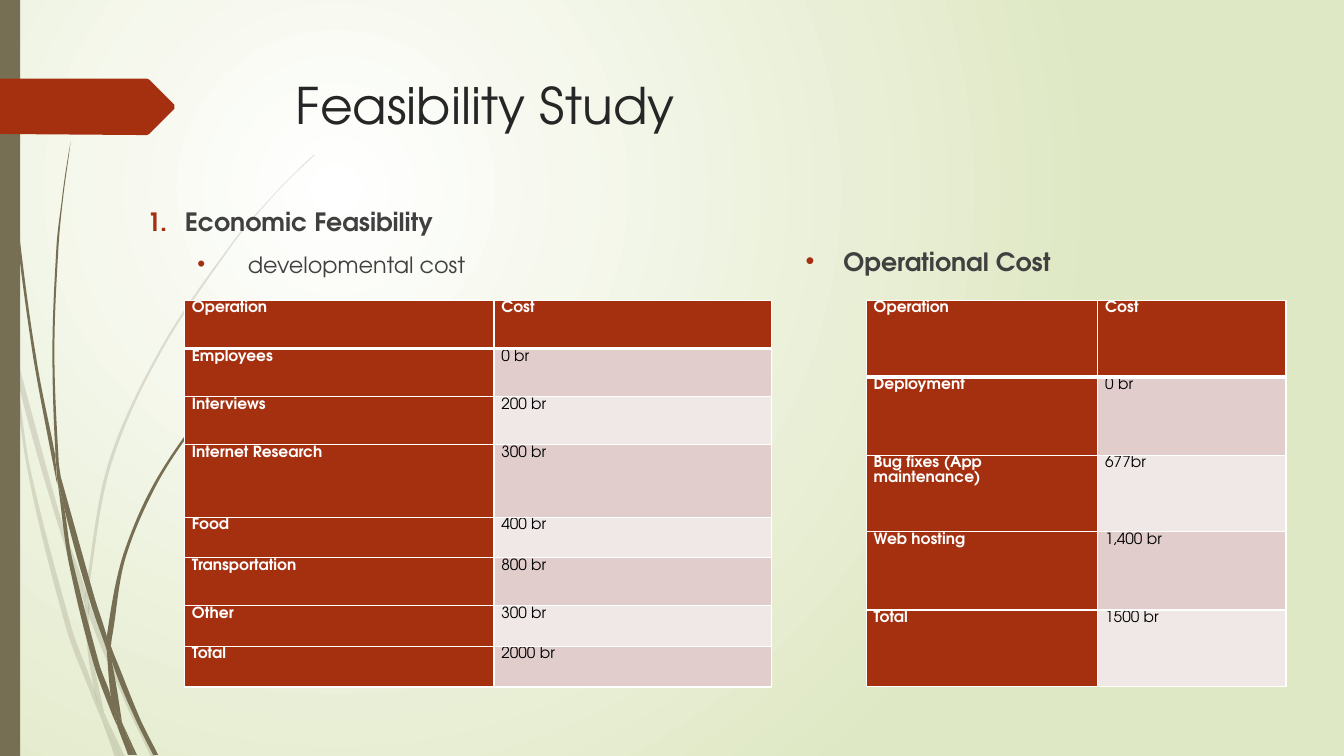
import pptx
import pptx.dml.color
import pptx.enum.shapes
import pptx.enum.text
import pptx.oxml
import pptx.oxml.ns
import pptx.util

Pt = pptx.util.Pt
RGBColor = pptx.dml.color.RGBColor
qn = pptx.oxml.ns.qn
NAMESPACE = pptx.oxml.ns.nsdecls("a")

FONT = "TeX Gyre Adventor"
WHITE = RGBColor(0xFF, 0xFF, 0xFF)
BLACK = RGBColor(0, 0, 0)
PALE_GREEN = RGBColor(0xDF, 0xE8, 0xC4)
OLIVE = RGBColor(0x76, 0x6F, 0x54)
RUST = RGBColor(0xA5, 0x30, 0x10)
TITLE_GREY = RGBColor(0x26, 0x26, 0x26)
TEXT_GREY = RGBColor(0x40, 0x40, 0x40)
ROW_TINTS = (RGBColor(0xF0, 0xE8, 0xE7), RGBColor(0xE1, 0xCD, 0xCC))
OUTLINE_UNIT = Pt(0.72)
NUMBER = '<a:buAutoNum %s type="arabicPeriod"/>'
BULLET = '<a:buChar %s char="•"/>'

PALE_WISPS = (
    (11, 350, 9, 322, 0, 282, 0, 299, 10, 344),
    (58, 522, 84, 599, 85, 586, 62, 520, 14, 345, 17, 376),
    (92, 607, 88, 596, 88, 610, 123, 694, 150, 751, 155, 751, 127, 692),
    (119, 751, 124, 751, 105, 711),
    (93, 683, 70, 619, 31, 469, 17, 376, 11, 350, 28, 470, 65, 621, 92, 693,
     101, 714, 99, 707),
    (84, 599, 87, 646, 93, 683, 96, 692, 105, 711, 103, 706, 91, 646, 88, 610, 88, 608),
    (88, 584, 110, 462, 160, 349, 229, 245, 268, 198, 290, 175, 312, 154, 312, 153,
     289, 175, 268, 197, 228, 244, 158, 348, 107, 461, 85, 584, 85, 586, 88, 596),
    (101, 714, 114, 751, 119, 751),
    (88, 608, 88, 610, 88, 596, 85, 586, 84, 599),
    (96, 692, 93, 683, 99, 707, 101, 714, 119, 751, 105, 711),
)
DARK_WISPS = (
    (7, 110, 17, 233, 33, 355, 56, 477, 57, 481, 55, 457, 55, 453, 36, 355, 19, 232,
     8, 109, 5, 48, 4, 0, 3, 0, 4, 48),
    (88, 592, 106, 645, 106, 633, 106, 631, 93, 590, 60, 472, 64, 505),
    (113, 649, 110, 641, 111, 656, 132, 708, 152, 749, 157, 749, 136, 706),
    (110, 691, 98, 657, 72, 556, 64, 505, 57, 477, 68, 557, 93, 659, 111, 708,
     117, 722, 116, 717),
    (60, 472, 58, 453, 54, 349, 58, 245, 63, 193, 70, 141, 62, 193, 56, 245, 52, 349,
     55, 449),
    (133, 749, 136, 749, 122, 719),
    (57, 477, 64, 505, 60, 472, 55, 449, 55, 453),
    (111, 633, 125, 552, 158, 476, 205, 406, 231, 374, 245, 359, 261, 344, 260, 344,
     245, 358, 231, 373, 204, 405, 156, 474, 122, 551, 106, 631, 110, 641),
    (117, 722, 127, 749, 131, 749),
    (106, 645, 110, 691, 116, 706, 122, 719, 121, 716, 111, 656, 109, 651),
    (106, 645, 109, 651, 111, 656, 110, 641, 106, 631, 106, 633),
    (116, 706, 110, 691, 116, 717, 117, 722, 130, 749, 133, 749, 122, 719),
)
TAG_OUTLINE = (0, 78, 136, 78, 146, 78, 148, 79, 173, 104, 173, 108, 148, 133,
               146, 134, 136, 134, 0, 133)

DEVELOPMENT_ROWS = (
    ("Operation", "Cost"), ("Employees", "0 br"), ("Interviews", "200 br"),
    ("Internet Research", "300 br"), ("Food", "400 br"), ("Transportation", "800 br"),
    ("Other", "300 br"), ("Total", "2000 br"))
OPERATION_ROWS = (
    ("Operation", "Cost"), ("Deployment", "0 br"), ("Bug fixes (App maintenance) ", "677br"),
    ("Web hosting", "1,400 br"), ("Total", "1500 br"))


def apply(target, values):
    for name, value in values.items():
        setattr(target, name, value)


def style_run(run, size, color, bold=False):
    apply(run.font, {"name": FONT, "size": Pt(size), "bold": bold})
    run.font.color.rgb = color


def paint(shape, color):
    shape.shadow.inherit = False
    shape.fill.solid()
    shape.fill.fore_color.rgb = color
    shape.line.fill.background()


def bend_edges(shape):
    edges = list(shape.element.iter(qn("a:lnTo")))
    ends = [complex(int(edge[0].get("x")), int(edge[0].get("y"))) for edge in edges]

    def tangent(index):
        before = ends[index] - ends[index - 1]
        after = ends[(index + 1) % len(ends)] - ends[index]
        turn = (before.conjugate() * after).real / abs(before) / abs(after)
        return (before + after) / abs(before + after) if turn > 0.8 else 0

    for index, edge in enumerate(edges):
        start, end = ends[index - 1], ends[index]
        chord = end - start
        leaving = tangent(index - 1) * abs(chord) or chord
        arriving = tangent(index) * abs(chord) or chord
        points = "".join(f'<a:pt x="{round(point.real)}" y="{round(point.imag)}"/>'
                         for point in (start + leaving / 3, end - arriving / 3, end))
        edge.getparent().replace(edge, pptx.oxml.parse_xml(
            f"<a:cubicBezTo {NAMESPACE}>{points}</a:cubicBezTo>"))


def add_outline(shapes, left, top, outline, color):
    corners = list(zip(outline[::2], outline[1::2]))
    builder = shapes.build_freeform(*corners[0], scale=OUTLINE_UNIT)
    builder.add_line_segments(corners[1:] + corners[:1], close=True)
    shape = builder.convert_to_shape(Pt(left), Pt(top))
    paint(shape, color)
    return shape


def add_background(slide):
    fill = slide.background.fill
    fill.gradient()
    for stop, color in zip(fill.gradient_stops, (WHITE, PALE_GREEN)):
        stop.color.rgb = color
    linear = slide.element.find(".//" + qn("a:lin"))
    linear.getparent().replace(linear, pptx.oxml.parse_xml(
        f'<a:path {NAMESPACE} path="circle">'
        '<a:fillToRect l="50000" t="50000" r="100000" b="100000"/></a:path>'))


def add_decoration(slide, left, top, height):
    for wisps, opacity in ((PALE_WISPS, 20), (DARK_WISPS, 100)):
        group = slide.shapes.add_group_shape()
        for wisp in wisps:
            shape = add_outline(group.shapes, left, top, wisp, OLIVE)
            bend_edges(shape)
            if opacity < 100:
                shape.element.spPr.find(".//" + qn("a:srgbClr")).append(
                    pptx.oxml.parse_xml(f'<a:alpha {NAMESPACE} val="{opacity * 1000}"/>'))
    bar = slide.shapes.add_shape(pptx.enum.shapes.MSO_SHAPE.RECTANGLE,
                                 Pt(left), Pt(top), Pt(14.4), Pt(height))
    paint(bar, OLIVE)
    add_outline(slide.shapes, left, top, TAG_OUTLINE, RUST)


def set_title(slide, text, left, top, width, height):
    title = slide.shapes.title
    apply(title, {"left": Pt(left), "top": Pt(top), "width": Pt(width), "height": Pt(height)})
    apply(title.text_frame, {"text": text, "word_wrap": True,
                             "vertical_anchor": pptx.enum.text.MSO_ANCHOR.TOP})
    paragraph = title.text_frame.paragraphs[0]
    paragraph.alignment = pptx.enum.text.PP_ALIGN.LEFT
    style_run(paragraph.runs[0], 36, TITLE_GREY)


def add_list(slide, left, top, width, height, items):
    frame = slide.shapes.add_textbox(Pt(left), Pt(top), Pt(width), Pt(height)).text_frame
    frame.word_wrap = True
    for index, (text, size, bold, marker, margin, hanging) in enumerate(items):
        paragraph = frame.add_paragraph() if index else frame.paragraphs[0]
        paragraph.space_before = Pt(10)
        run = paragraph.add_run()
        run.text = text
        style_run(run, size, TEXT_GREY, bold)
        properties = paragraph._p.get_or_add_pPr()
        apply(paragraph, {"level": index})
        properties.set("marL", str(Pt(margin)))
        properties.set("indent", str(-Pt(hanging)))
        font = "Arial" if marker == BULLET else FONT
        for xml in (f'<a:buClr %s><a:srgbClr val="{RUST}"/></a:buClr>',
                    f'<a:buFont %s typeface="{font}"/>', marker):
            properties.append(pptx.oxml.parse_xml(xml % NAMESPACE))


def add_borders(cell, top, bottom):
    for side, width in (("L", 1), ("R", 1), ("T", top), ("B", bottom)):
        cell._tc.get_or_add_tcPr().append(pptx.oxml.parse_xml(
            f'<a:ln{side} {NAMESPACE} w="{Pt(width)}"><a:solidFill>'
            f'<a:srgbClr val="{WHITE}"/></a:solidFill></a:ln{side}>'))


def add_cost_table(slide, left, top, widths, heights, rows):
    table = slide.shapes.add_table(len(rows), len(widths), Pt(left), Pt(top),
                                   Pt(sum(widths)), Pt(sum(heights))).table
    for column, width in zip(table.columns, widths):
        column.width = Pt(width)
    for row, height in zip(table.rows, heights):
        row.height = Pt(height)
    for row, texts in enumerate(rows):
        for column, text in enumerate(texts):
            cell = table.cell(row, column)
            heading = row == 0 or column == 0
            apply(cell, {"text": text, "margin_left": Pt(5.3), "margin_right": Pt(5.3),
                         "margin_top": 0, "margin_bottom": 0})
            add_borders(cell, 3 if row == 1 else 1, 3 if row == 0 else 1)
            cell.fill.solid()
            cell.fill.fore_color.rgb = RUST if heading else ROW_TINTS[row % 2]
            paragraph = cell.text_frame.paragraphs[0]
            paragraph.line_spacing = 1.07
            style_run(paragraph.runs[0], 11, WHITE if heading else BLACK, heading)


presentation = pptx.Presentation()
apply(presentation, {"slide_width": Pt(960), "slide_height": Pt(540)})
slide = presentation.slides.add_slide(presentation.slide_layouts[5])
add_background(slide)
add_decoration(slide, 0, 0, 540)
slide.shapes._spTree.append(slide.shapes.title.element)
set_title(slide, "Feasibility Study", 204, 49, 702, 100.8)
add_list(slide, 98, 144, 486.7, 347, (
    ("Economic Feasibility", 18, True, NUMBER, 27, 27),
    ("developmental cost", 16, False, BULLET, 72, 36)))
add_cost_table(slide, 131.8, 214.6, (221, 198),
               (34.4, 34.4, 34.4, 51.6, 29, 34.4, 29, 29), DEVELOPMENT_ROWS)
add_cost_table(slide, 618.8, 214.6, (165.4, 134.4), (54.6, 56, 54.6, 56, 54.6), OPERATION_ROWS)
add_list(slide, 568.3, 172.2, 350, 317, (("Operational Cost", 18, True, BULLET, 27, 27),))
presentation.save("out.pptx")
